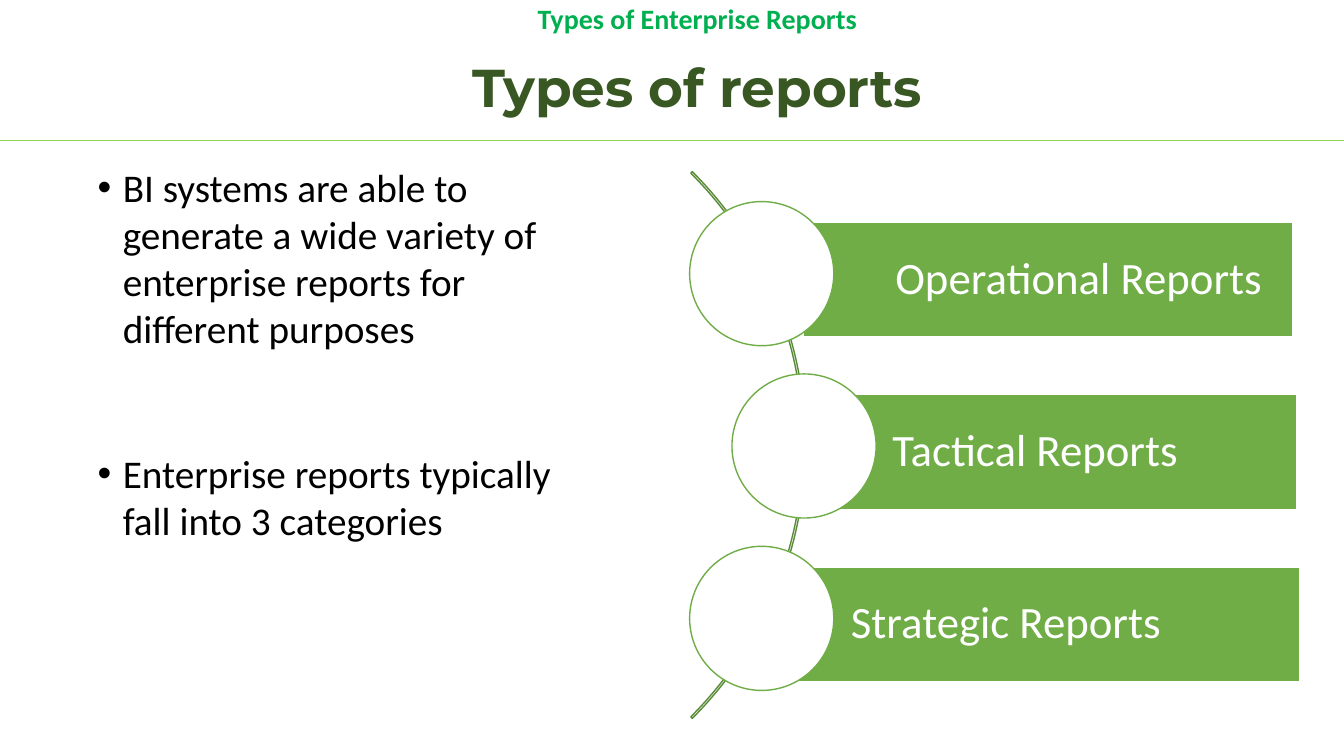
from lxml import etree
from pptx import Presentation
from pptx import util as u
from pptx.dml.color import RGBColor
from pptx.enum import shapes, text
from pptx.oxml.ns import qn

WIDTH, HEIGHT = 13.33, 7.5
GREEN, WHITE = "70AD47", "FFFFFF"


def rgb(value):
    return RGBColor.from_string(value)


def write(shape, *lines, size, color, font="Calibri", bold=False, bullet=False,
          align=text.PP_ALIGN.LEFT, anchor=text.MSO_ANCHOR.TOP, spacing=1.0,
          gap=0, insets=(0.1, 0.05, 0.1, 0.05)):
    """Fill a shape with one paragraph per line; gap separates them in points."""
    frame = shape.text_frame
    frame.word_wrap = True
    frame.auto_size = text.MSO_AUTO_SIZE.NONE
    frame.vertical_anchor = anchor
    (frame.margin_left, frame.margin_top,
     frame.margin_right, frame.margin_bottom) = map(u.Inches, insets)
    for i, line in enumerate(lines):
        paragraph = frame.add_paragraph() if i else frame.paragraphs[0]
        paragraph.alignment = align
        paragraph.line_spacing = spacing
        paragraph.space_before = u.Pt(gap if i else 0)
        if bullet:
            props = paragraph._p.get_or_add_pPr()
            props.set("marL", str(u.Inches(0.25)))
            props.set("indent", str(-u.Inches(0.25)))
            etree.SubElement(props, qn("a:buFont")).set("typeface", "Arial")
            etree.SubElement(props, qn("a:buChar")).set("char", "•")
        run = paragraph.add_run()
        run.text = line
        run.font.name, run.font.size, run.font.bold = font, u.Pt(size), bold
        run.font.color.rgb = rgb(color)


def add_part(kind, left, top, width, height, line, fill=None):
    part = slide.shapes.add_shape(kind, *map(u.Inches, (left, top, width, height)))
    part.shadow.inherit = False
    if fill:
        part.fill.solid()
        part.fill.fore_color.rgb = rgb(fill)
    else:
        part.fill.background()
    part.line.color.rgb = rgb(line)
    part.line.width = u.Pt(1)
    return part


prs = Presentation()
prs.slide_width, prs.slide_height = u.Inches(WIDTH), u.Inches(HEIGHT)
slide = prs.slides.add_slide(prs.slide_layouts.get_by_name("Title Only"))

# Header
rule_y = u.Inches(1.39)
rule = slide.shapes.add_connector(shapes.MSO_CONNECTOR.STRAIGHT,
                                  0, rule_y, prs.slide_width, rule_y)
rule.line.color.rgb = rgb("92D050")
rule.line.width = u.Pt(0.5)
etree.SubElement(rule._element.spPr, qn("a:effectLst"))

title = slide.shapes.title
title.left, title.top, title.width, title.height = map(
    u.Inches, (0.87, 0.41, 12.09, 0.97))
write(title, "Types of reports", size=38, color="385723", font="Montserrat",
      bold=True, align=text.PP_ALIGN.CENTER, anchor=text.MSO_ANCHOR.MIDDLE,
      spacing=0.9)

topic = slide.shapes.add_textbox(*map(u.Inches, (2.62, 0, 8.59, 0.41)))
write(topic, "Types of Enterprise Reports", size=20, color="00B050", bold=True,
      align=text.PP_ALIGN.CENTER, spacing=0.9)

# Explanation on the left
explanation = slide.shapes.add_textbox(*map(u.Inches, (0.87, 1.57, 5.16, 1.83)))
write(explanation,
      "BI systems are able to generate a wide variety of enterprise reports "
      "for different purposes",
      "Enterprise reports typically fall into 3 categories",
      size=28, color="000000", bullet=True, gap=70)

# Report categories along an arc
arc = add_part(shapes.MSO_SHAPE.BLOCK_ARC, 0.32, 0.58, 7.67, 7.67, "5A8B39")
for i, value in enumerate((189, 27, 0.0028)):
    arc.adjustments[i] = value

FIRST_ROW, ROW_PITCH = 2, 1.71
CIRCLE, BAR_HEIGHT = 1.43, 1.14
categories = [  # label, circle left, bar left, bar width, text inset
    ("Operational Reports", 6.84, 7.97, 4.85, 0.91),
    ("Tactical Reports", 7.26, 7.84, 5.02, 1.01),
    ("Strategic Reports", 6.84, 7.53, 5.36, 0.91),
]
for row, (label, circle_left, bar_left, bar_width, inset) in enumerate(categories):
    top = FIRST_ROW + row * ROW_PITCH
    bar = add_part(shapes.MSO_SHAPE.RECTANGLE, bar_left,
                   top + (CIRCLE - BAR_HEIGHT) / 2 + 0.06,
                   bar_width, BAR_HEIGHT, WHITE, GREEN)
    write(bar, label, size=32, color=WHITE, anchor=text.MSO_ANCHOR.MIDDLE,
          spacing=0.9, insets=(inset, 0.09, 0.09, 0.09))
    add_part(shapes.MSO_SHAPE.OVAL, circle_left, top, CIRCLE, CIRCLE, GREEN, WHITE)

prs.save("out.pptx")
